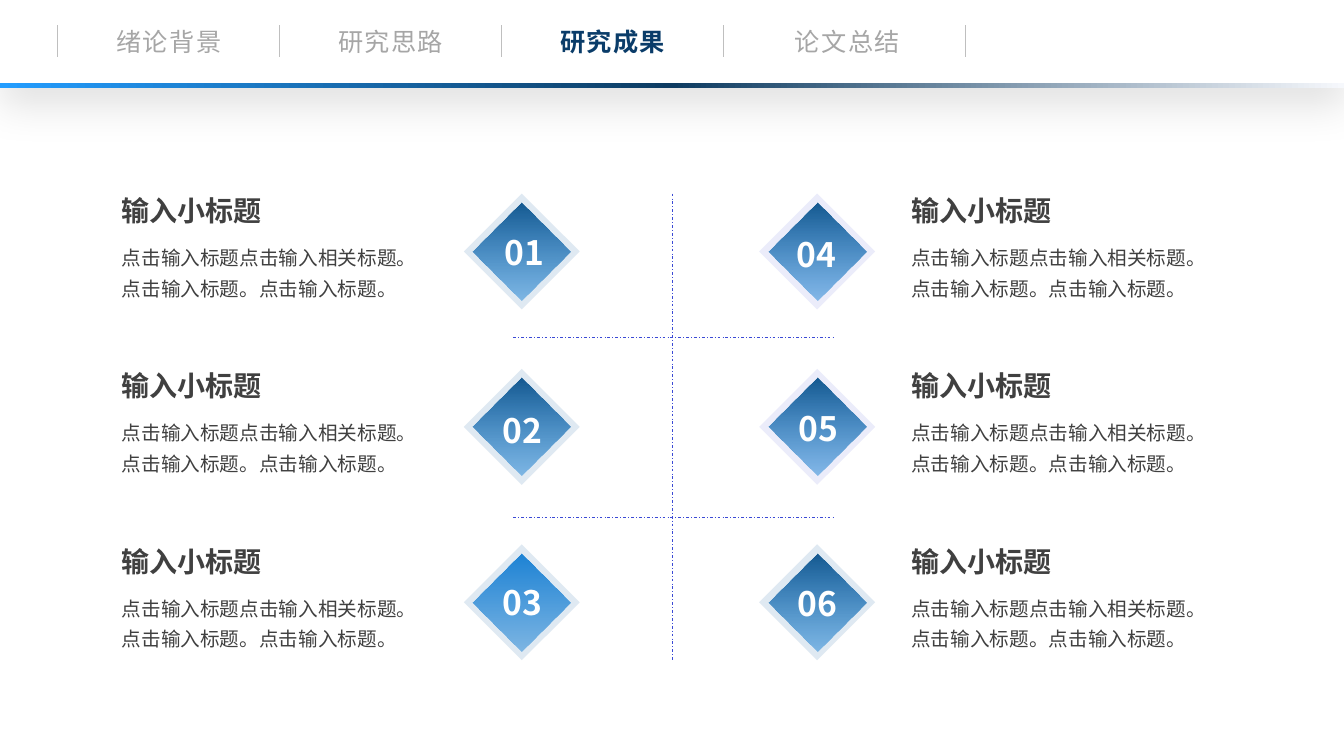
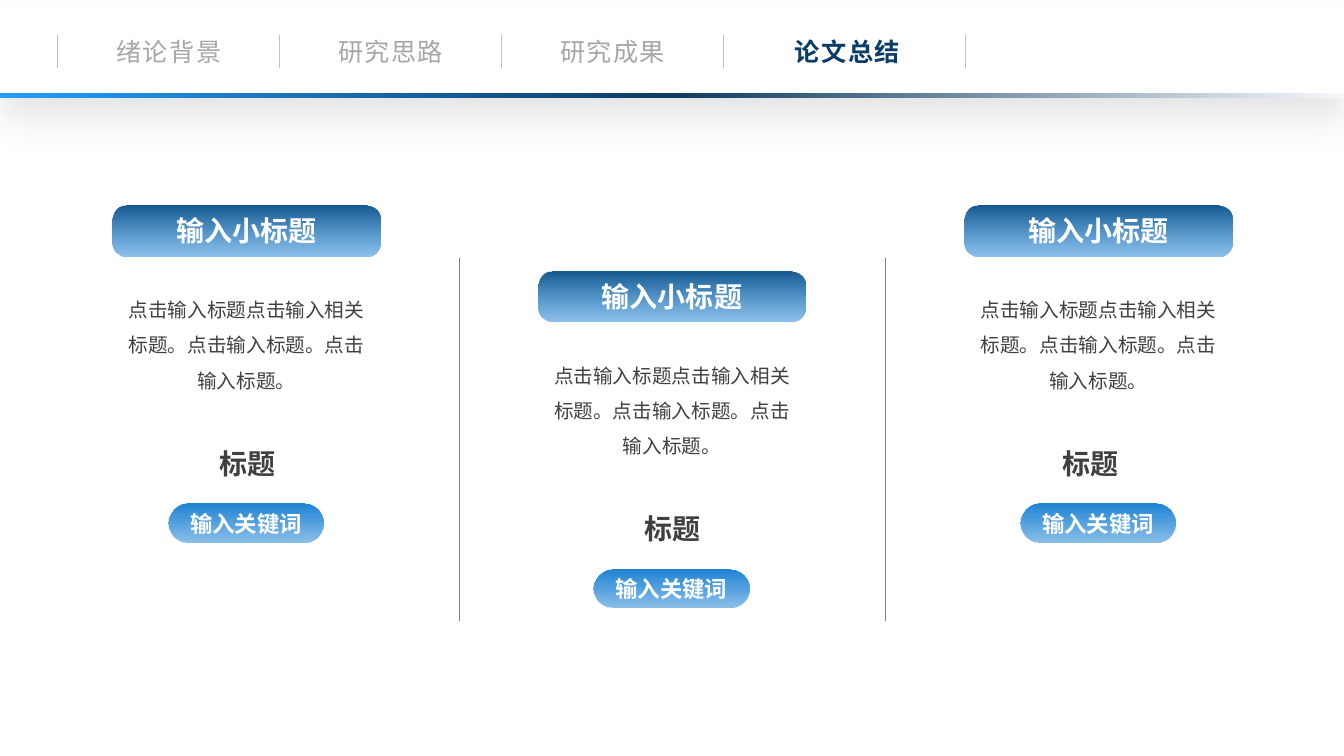
"""Build two thesis slides that share a chapter navigation header."""
from copy import deepcopy
from dataclasses import dataclass
from typing import Any

from lxml import etree
from pptx import Presentation
from pptx import util as u
from pptx.dml.color import RGBColor
from pptx.enum import dml, shapes, text
from pptx.oxml.ns import qn

SCALE = 9144
WIDTH, HEIGHT = 1333, 750
FONT = "Noto Sans CJK SC"
WHITE, INK, NAVY = "FFFFFF", "404040", "0A3C69"
MUTED, DIVIDER, RULE, DASH = "A6A6A6", "BFBFBF", "808080", "3B4AD5"
DEEP = ("145991", "1D83D580")
BRIGHT = ("1D83D5", "1D83D580")
STRIP = ("239DFF", "0D3B61", "F6F8FC")
PALE_RING, VIOLET_RING = ("DFE9F2",), ("3B4AD51A",)
SUBTITLE = "输入小标题"
BODY = "点击输入标题点击输入相关标题。点击输入标题。点击输入标题。"
CENTER, MIDDLE = text.PP_ALIGN.CENTER, text.MSO_ANCHOR.MIDDLE
GROW = text.MSO_AUTO_SIZE.SHAPE_TO_FIT_TEXT
SHAPE = shapes.MSO_SHAPE


@dataclass(frozen=True)
class Style:
    """Format values of a text."""
    size: int
    color: str = INK
    bold: bool = False
    align: Any = None
    anchor: Any = text.MSO_ANCHOR.TOP
    wrap: bool = False
    grow: bool = False
    leading: float | None = None
    tracking: int = 0


@dataclass(frozen=True)
class Chapter:
    """One entry of the navigation header."""
    label: str
    left: int


@dataclass(frozen=True)
class Point:
    """One numbered diamond with its caption."""
    number: str
    left: int
    top: int
    caption_left: int
    number_left: int
    number_top: int
    ring: tuple[str, ...] = PALE_RING
    core: tuple[str, ...] = DEEP


@dataclass(frozen=True)
class Column:
    """One summary column."""
    left: int
    top: int
    label_left: int


CHAPTERS = (Chapter("绪论背景", 104), Chapter("研究思路", 324),
            Chapter("研究成果", 544), Chapter("论文总结", 777))
DIVIDERS = (57, 277, 497, 717, 957)
POINTS = (
    Point("01", 460, 192, 111, 471, 226),
    Point("02", 460, 366, 111, 469, 402),
    Point("03", 460, 540, 111, 469, 573, core=BRIGHT),
    Point("04", 753, 192, 894, 761, 227, ring=VIOLET_RING),
    Point("05", 753, 366, 894, 763, 400, ring=VIOLET_RING),
    Point("06", 753, 540, 894, 762, 574),
)
COLUMNS = (Column(112, 204, 208), Column(534, 269, 629), Column(957, 204, 1044))

HEADING = Style(20, bold=True, grow=True)
CAPTION = Style(14, wrap=True, grow=True, leading=1.3)
SUMMARY = Style(14, align=CENTER, wrap=True, grow=True, leading=1.5)
NUMBER = Style(24, WHITE, True, CENTER, MIDDLE)
BANNER = Style(20, WHITE, True, CENTER, MIDDLE, wrap=True)
KEYWORD = Style(16, WHITE, True, CENTER, MIDDLE)
TAB = Style(18, MUTED, align=CENTER, grow=True, tracking=100)
TAB_ACTIVE = Style(18, NAVY, True, CENTER, grow=True, tracking=100)


def px(*lengths: int) -> list[u.Emu]:
    """Turn px into EMU."""
    return [u.Emu(length * SCALE) for length in lengths]


def rgb(code: str) -> RGBColor:
    """Read the colour part of a hex string."""
    return RGBColor.from_string(code[:6])


def assign(target: Any, values: dict[str, Any]) -> None:
    """Set the given attributes on an object."""
    for name, value in values.items():
        setattr(target, name, value)


def set_alpha(color: Any, code: str) -> None:
    """Apply the opacity held in the last two hex digits."""
    if len(code) == 8:
        percent = round(int(code[6:], 16) / 2.55)
        etree.SubElement(color, qn("a:alpha"), val=str(percent * 1000))


def paint(shape: Any, colors: tuple[str, ...], angle: int) -> None:
    """Fill with one colour or an even gradient."""
    properties = shape._element.spPr
    if len(colors) == 1:
        shape.fill.solid()
        shape.fill.fore_color.rgb = rgb(colors[0])
        set_alpha(properties.find(qn("a:solidFill"))[0], colors[0])
        return
    shape.fill.gradient()
    shape.fill.gradient_angle = angle
    stops = properties.find(qn("a:gradFill")).find(qn("a:gsLst"))
    for _ in colors[2:]:
        stops.append(deepcopy(stops[0]))
    for index, (stop, code) in enumerate(zip(shape.fill.gradient_stops, colors)):
        stop.position = index / (len(colors) - 1)
        stop.color.rgb = rgb(code)
        set_alpha(stops[index][0], code)


def write(shape: Any, words: str, style: Style) -> None:
    """Put styled text into a shape."""
    frame = shape.text_frame
    assign(frame, {"word_wrap": style.wrap, "vertical_anchor": style.anchor,
                   "auto_size": GROW if style.grow else text.MSO_AUTO_SIZE.NONE})
    paragraph = frame.paragraphs[0]
    assign(paragraph, {"alignment": style.align, "line_spacing": style.leading})
    run = paragraph.add_run()
    run.text = words
    assign(run.font, {"size": u.Pt(style.size), "bold": style.bold, "name": FONT})
    run.font.color.rgb = rgb(style.color)
    properties = run._r.get_or_add_rPr()
    etree.SubElement(properties, qn("a:ea"), typeface=FONT)
    if style.tracking:
        properties.set("spc", str(style.tracking))


def add_text(slide: Any, words: str, style: Style, *box: int) -> None:
    """Add a text box."""
    write(slide.shapes.add_textbox(*px(*box)), words, style)


def add_block(slide: Any, kind: Any, colors: tuple[str, ...], *box: int,
              angle: int = 270) -> Any:
    """Add a filled shape without outline or shadow."""
    block = slide.shapes.add_shape(kind, *px(*box))
    paint(block, colors, angle)
    block.line.fill.background()
    block.shadow.inherit = False
    return block


def add_line(slide: Any, color: str, weight: float, *ends: int, dash: Any = None) -> None:
    """Add a straight line."""
    line = slide.shapes.add_connector(shapes.MSO_CONNECTOR.STRAIGHT, *px(*ends))
    line.line.color.rgb = rgb(color)
    assign(line.line, {"width": u.Pt(weight), "dash_style": dash})
    etree.SubElement(line._element.spPr, qn("a:effectLst"))


def add_pill(slide: Any, words: str, style: Style, colors: tuple[str, ...],
             rounding: float, *box: int) -> None:
    """Add a rounded label."""
    pill = add_block(slide, SHAPE.ROUNDED_RECTANGLE, colors, *box)
    pill.adjustments[0] = rounding
    write(pill, words, style)


def add_header(slide: Any, top: int, active: str) -> None:
    """Draw the navigation band with one chapter highlighted."""
    band = add_block(slide, SHAPE.RECTANGLE, (WHITE,), 0, top, WIDTH, 87)
    effects = band._element.spPr.find(qn("a:effectLst"))
    shadow = etree.SubElement(effects, qn("a:outerShdw"), blurRad=str(u.Pt(28)),
                              dist=str(u.Pt(15)), dir="5400000", algn="t",
                              rotWithShape="0")
    tint = etree.SubElement(shadow, qn("a:srgbClr"), val="000000")
    etree.SubElement(tint, qn("a:alpha"), val="11000")
    for x in DIVIDERS:
        add_line(slide, DIVIDER, 0.5, x, top + 27, x, top + 59)
    for chapter in CHAPTERS:
        style = TAB_ACTIVE if chapter.label == active else TAB
        add_text(slide, chapter.label, style, chapter.left, top + 23, 127, 40)
    add_block(slide, SHAPE.RECTANGLE, STRIP, 0, top + 84, WIDTH, 5, angle=0)


def add_point(slide: Any, point: Point) -> None:
    """Draw a numbered diamond and its caption."""
    left, top = point.left, point.top
    add_block(slide, SHAPE.DIAMOND, point.ring, left, top, 115, 115)
    add_block(slide, SHAPE.DIAMOND, point.core, left + 9, top + 9, 97, 97)
    add_text(slide, point.number, NUMBER, point.number_left, point.number_top, 98, 49)
    add_text(slide, SUBTITLE, HEADING, point.caption_left, top - 5, 164, 44)
    add_text(slide, BODY, CAPTION, point.caption_left, top + 40, 327, 69)


def add_column(slide: Any, column: Column) -> None:
    """Draw a summary column."""
    left, top = column.left, column.top
    add_pill(slide, SUBTITLE, BANNER, DEEP, 0.27, left, top, 265, 50)
    add_text(slide, BODY, SUMMARY, left, top + 75, 265, 112)
    add_text(slide, "标题", HEADING, column.label_left, top + 234, 76, 44)
    add_pill(slide, "输入关键词", KEYWORD, BRIGHT, 0.5, left + 55, top + 296, 154, 38)


def build_results(slide: Any) -> None:
    """Build the slide of six results."""
    for ends in ((667, 192, 667, 655), (509, 335, 826, 335), (509, 513, 826, 513)):
        add_line(slide, DASH, 0.5, *ends, dash=dml.MSO_LINE.DASH_DOT)
    for point in POINTS:
        add_point(slide, point)
    add_header(slide, -2, "研究成果")


def build_summary(slide: Any) -> None:
    """Build the slide of three summary columns."""
    for x in (456, 878):
        add_line(slide, RULE, 1, x, 256, x, 616)
    for column in COLUMNS:
        add_column(slide, column)
    add_header(slide, 8, "论文总结")


def main() -> None:
    """Build and save the deck."""
    deck = Presentation()
    deck.slide_width, deck.slide_height = px(WIDTH, HEIGHT)
    for build in (build_results, build_summary):
        build(deck.slides.add_slide(deck.slide_layouts[6]))
    deck.save("out.pptx")


if __name__ == "__main__":
    main()
